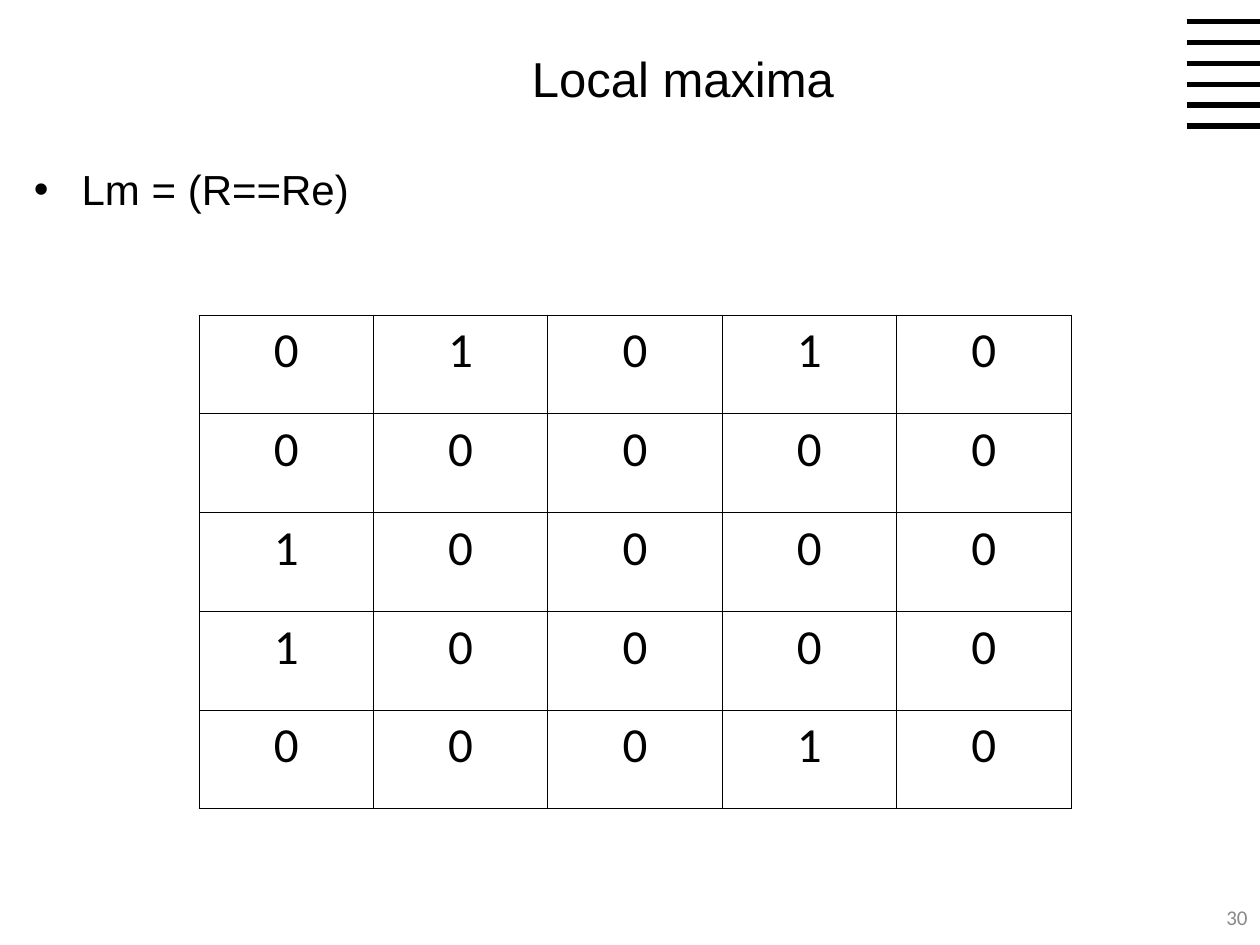
from dataclasses import dataclass

from lxml import etree
from pptx import Presentation
from pptx.dml.color import RGBColor
from pptx.enum.shapes import MSO_CONNECTOR
from pptx.enum.text import MSO_ANCHOR, PP_ALIGN
from pptx.oxml.ns import qn
from pptx.util import Inches, Pt

STRAIGHT = MSO_CONNECTOR.STRAIGHT
MIDDLE = MSO_ANCHOR.MIDDLE
LEFT, CENTER, RIGHT = PP_ALIGN.LEFT, PP_ALIGN.CENTER, PP_ALIGN.RIGHT
TITLE_ONLY = 5


@dataclass(frozen=True)
class Theme:
    """Colours, fonts and sizes of the slide."""
    ink: str = "000000"
    muted: str = "898989"
    paper: str = "FFFFFF"
    text_font: str = "Arial"
    number_font: str = "Calibri"
    title_size: float = 28
    body_size: float = 24
    cell_size: float = 28
    page_size: float = 12
    stripe_width: float = 3
    border_width: float = 0.45


THEME = Theme()

LOCAL_MAXIMA = [
    [0, 1, 0, 1, 0],
    [0, 0, 0, 0, 0],
    [1, 0, 0, 0, 0],
    [1, 0, 0, 0, 0],
    [0, 0, 0, 1, 0],
]


def write(frame, text, font_name, size, color, align):
    """Put one formatted paragraph in a text frame and return it."""
    frame.text = text
    paragraph = frame.paragraphs[0]
    paragraph.alignment = align
    font = paragraph.runs[0].font
    font.name = font_name
    font.size = Pt(size)
    font.color.rgb = RGBColor.from_string(color)
    return paragraph


def add_bullet(paragraph, indent, color):
    """Give a paragraph a round bullet with a hanging indent."""
    properties = paragraph._p.get_or_add_pPr()
    properties.set("marL", str(indent))
    properties.set("indent", str(-indent))
    bullet_color = etree.SubElement(properties, qn("a:buClr"))
    etree.SubElement(bullet_color, qn("a:srgbClr"), val=color)
    etree.SubElement(properties, qn("a:buFont"), typeface=THEME.text_font)
    etree.SubElement(properties, qn("a:buChar"), char="•")


def add_borders(cell):
    """Draw a thin line on all four sides of a cell."""
    properties = cell._tc.get_or_add_tcPr()
    for position, side in enumerate(("a:lnL", "a:lnR", "a:lnT", "a:lnB")):
        border = etree.Element(qn(side), w=str(Pt(THEME.border_width)))
        fill = etree.SubElement(border, qn("a:solidFill"))
        etree.SubElement(fill, qn("a:srgbClr"), val=THEME.ink)
        properties.insert(position, border)


def add_stripes(slide, left, top, width, height, count=6):
    """Spread horizontal stripes evenly over the corner box."""
    for index in range(count):
        y = top + height * index // (count - 1)
        stripe = slide.shapes.add_connector(STRAIGHT, left, y, left + width, y)
        stripe.line.color.rgb = RGBColor.from_string(THEME.ink)
        stripe.line.width = Pt(THEME.stripe_width)
        etree.SubElement(stripe._element.spPr, qn("a:effectLst"))


def place_title(slide, left, top, width, height):
    """Move and format the title placeholder."""
    title = slide.shapes.title
    title.left, title.top, title.width, title.height = left, top, width, height
    title.text_frame.vertical_anchor = MIDDLE
    write(title.text_frame, "Local maxima", THEME.text_font,
          THEME.title_size, THEME.ink, CENTER)


def add_formula(slide, left, top, width, height):
    """Add the bulleted formula."""
    frame = slide.shapes.add_textbox(left, top, width, height).text_frame
    frame.word_wrap = True
    formula = write(frame, "Lm = (R==Re)", THEME.text_font,
                    THEME.body_size, THEME.ink, LEFT)
    add_bullet(formula, Inches(0.38), THEME.ink)


def add_matrix(slide, left, top, width, height):
    """Add the table of local maxima with equal rows and columns."""
    rows, columns = len(LOCAL_MAXIMA), len(LOCAL_MAXIMA[0])
    matrix = slide.shapes.add_table(rows, columns, left, top, width, height).table
    matrix.first_row = False
    matrix.horz_banding = False
    for row, values in zip(matrix.rows, LOCAL_MAXIMA):
        for cell, value in zip(row.cells, values):
            write(cell.text_frame, str(value), THEME.number_font,
                  THEME.cell_size, THEME.ink, CENTER)
            cell.fill.background()
            add_borders(cell)


def add_page_number(slide, left, top, width, height):
    """Add the page number in the bottom corner."""
    frame = slide.shapes.add_textbox(left, top, width, height).text_frame
    frame.word_wrap = True
    frame.vertical_anchor = MIDDLE
    write(frame, "30", THEME.number_font, THEME.page_size, THEME.muted, RIGHT)


def main():
    """Build and save the slide."""
    deck = Presentation()
    deck.slide_width, deck.slide_height = Inches(10), Inches(7.5)
    slide = deck.slides.add_slide(deck.slide_layouts[TITLE_ONLY])
    slide.background.fill.solid()
    slide.background.fill.fore_color.rgb = RGBColor.from_string(THEME.paper)

    regions = [
        (add_stripes, (9.42, 0.17, 0.58, 0.83)),
        (place_title, (0.92, 0.08, 9, 1.08)),
        (add_formula, (0.17, 1.25, 9.67, 6.08)),
        (add_page_number, (9.42, 7.08, 0.58, 0.4)),
        (add_matrix, (1.58, 2.5, 6.92, 3.92)),
    ]
    for build, box in regions:
        build(slide, *map(Inches, box))
    deck.save("out.pptx")


if __name__ == "__main__":
    main()
